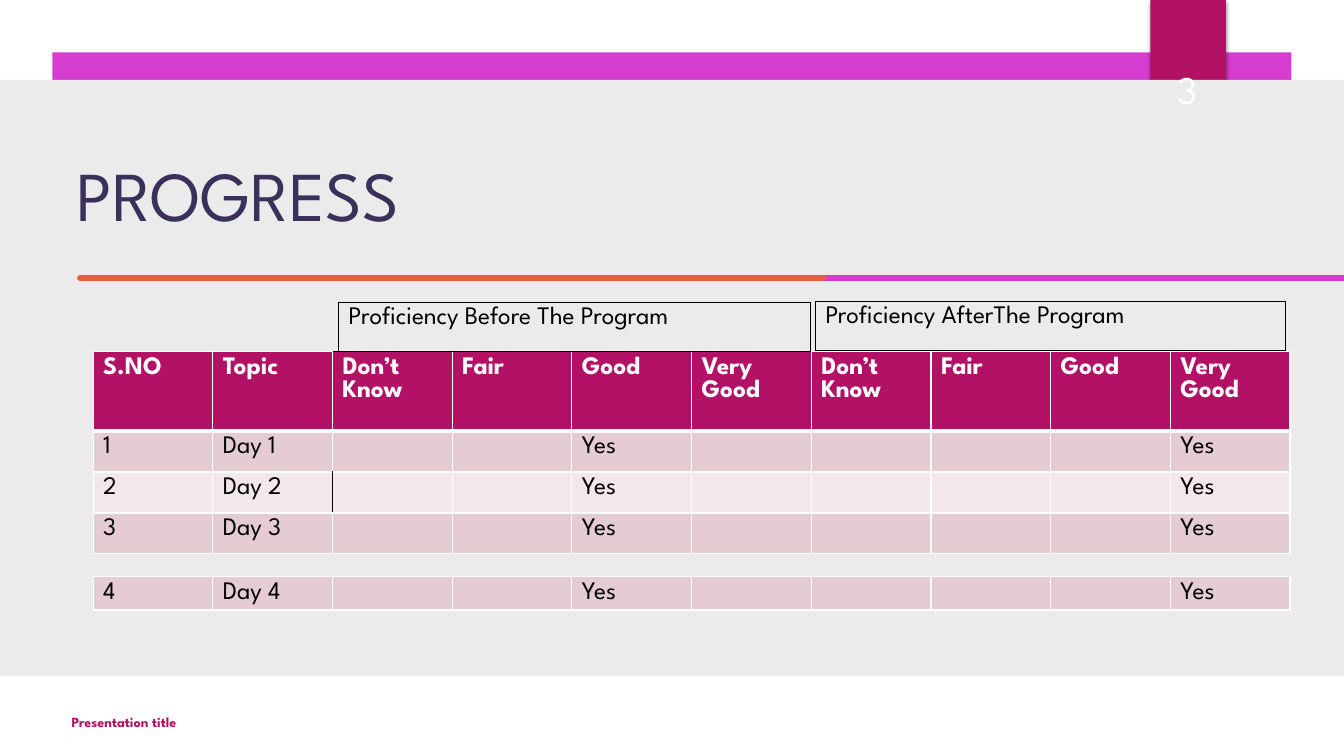
from pptx import Presentation
from pptx.dml.color import RGBColor
from pptx.enum.shapes import MSO_CONNECTOR, MSO_SHAPE
from pptx.enum.text import MSO_ANCHOR, PP_ALIGN
from pptx.oxml.ns import qn
from pptx.util import Pt
from lxml.etree import SubElement

FONT = "League Spartan"
WHITE, BLACK, PANEL = "FFFFFF", "000000", "EBEBEB"
MAGENTA, CRIMSON, ORANGE, INDIGO = "D53DD0", "B31166", "E45F3C", "3B3059"
ROSE, PALE_ROSE = "E5CCD3", "F2E7EA"
W, H = 960, 540

TITLE = "PROGRESS"
FOOTER = "Presentation title"
PAGE = "3"
LEVELS = ["Don’t Know", "Fair", "Good", "Very Good"]
HEADER = ["S.NO", "Topic"] + LEVELS * 2
DAYS = [[str(n), f"Day {n}", "", "", "Yes", "", "", "", "", "Yes"]
        for n in range(1, 5)]
# text, left, top, width
GROUPS = [
    ("Proficiency Before The Program", 241.9, 215.8, 337),
    ("Proficiency AfterThe Program", 582.5, 215.2, 336),
]
GRID_LEFT, GRID_TOP, COL_W = 66.5, 251, 85.5
HEADER_H, ROW_H = 57, 29.2
LAST_TOP, LAST_H = 411.8, 24


def rgb(value):
    return RGBColor.from_string(value)


def style(p, size, color, bold=False):
    for r in p.runs:
        r.font.name, r.font.size, r.font.bold = FONT, Pt(size), bold
        r.font.color.rgb = rgb(color)


def add_block(s, kind, x, y, w, h, color):
    sp = s.shapes.add_shape(kind, Pt(x), Pt(y), Pt(w), Pt(h))
    sp.shadow.inherit = False
    sp.fill.solid()
    sp.fill.fore_color.rgb = rgb(color)
    sp.line.fill.background()
    return sp


def add_drop_shadow(sp):
    effects = sp.element.spPr.find(qn("a:effectLst"))
    shadow = SubElement(effects, qn("a:outerShdw"), blurRad=str(Pt(3)),
                        dist=str(Pt(2)), dir="5400000", rotWithShape="0")
    color = SubElement(shadow, qn("a:srgbClr"), val=BLACK)
    SubElement(color, qn("a:alpha"), val="45000")


def add_rule(s, x1, x2, y, color):
    line = s.shapes.add_connector(MSO_CONNECTOR.STRAIGHT, Pt(x1), Pt(y), Pt(x2), Pt(y))
    line.line.width = Pt(4.5)
    line.line.color.rgb = rgb(color)
    spPr = line.element.spPr
    spPr.find(qn("a:ln")).set("cap", "rnd")
    SubElement(spPr, qn("a:effectLst"))


def add_label(s, text, x, y, w, h, size, color, anchor, align, bold=False):
    tf = s.shapes.add_textbox(Pt(x), Pt(y), Pt(w), Pt(h)).text_frame
    tf.word_wrap = True
    tf.vertical_anchor = anchor
    tf.text = text
    tf.paragraphs[0].alignment = align
    style(tf.paragraphs[0], size, color, bold)


def set_borders(cell, borders):
    """Draw the borders, given as side: (colour, points)."""
    tcPr = cell._tc.get_or_add_tcPr()
    for side in "LRTB":
        color, width = borders[side]
        ln = SubElement(tcPr, qn(f"a:ln{side}"), w=str(Pt(width)))
        fill = SubElement(ln, qn("a:solidFill"))
        SubElement(fill, qn("a:srgbClr"), val=color)


def add_grid(s, rows, x, y, col_w, heights, fills, border, special=None):
    """Add a table; special maps (row, column) to borders that differ."""
    cols = len(rows[0])
    table = s.shapes.add_table(len(rows), cols, Pt(x), Pt(y),
                               Pt(col_w * cols), Pt(sum(heights))).table
    table.first_row = table.horz_banding = False
    for col in table.columns:
        col.width = Pt(col_w)
    for i, texts in enumerate(rows):
        table.rows[i].height = Pt(heights[i])
        is_header = fills[i] == CRIMSON
        for j, text in enumerate(texts):
            cell = table.cell(i, j)
            borders = dict.fromkeys("LRTB", (border, 1))
            if is_header:
                borders["B"] = (border, 3)
            borders.update((special or {}).get((i, j), {}))
            set_borders(cell, borders)
            if fills[i]:
                cell.fill.solid()
                cell.fill.fore_color.rgb = rgb(fills[i])
            else:
                cell.fill.background()
            if text:
                p = cell.text_frame.paragraphs[0]
                p.text = text
                style(p, 18, WHITE if is_header else BLACK, is_header)
            else:
                cell.margin_top = cell.margin_bottom = 0


def main():
    prs = Presentation()
    prs.slide_width, prs.slide_height = Pt(W), Pt(H)
    s = prs.slides.add_slide(prs.slide_layouts[5])
    s.background.fill.solid()
    s.background.fill.fore_color.rgb = rgb(MAGENTA)

    frame = add_block(s, MSO_SHAPE.FRAME, 0, 0, W, H, WHITE)
    frame.adjustments[0] = 37.5 / H
    add_block(s, MSO_SHAPE.RECTANGLE, 36, 480, 888, 24, WHITE)
    tab = add_block(s, MSO_SHAPE.RECTANGLE, 821.7, 0, 54, 90, CRIMSON)
    add_drop_shadow(tab)
    add_block(s, MSO_SHAPE.RECTANGLE, 0, 57, W, 426, PANEL)
    add_rule(s, W, 587, 198.6, MAGENTA)
    add_rule(s, 588, 57.3, 198.6, ORANGE)

    add_label(s, FOOTER, 44.2, 503.8, 304, 23.8, 10, CRIMSON,
              MSO_ANCHOR.MIDDLE, PP_ALIGN.LEFT, True)
    add_label(s, PAGE, 815, 23, 66.2, 60.5, 28, WHITE,
              MSO_ANCHOR.BOTTOM, PP_ALIGN.CENTER)

    title = s.shapes.title
    s.shapes._spTree.append(title.element)  # in front of the panel
    title.left, title.top, title.width, title.height = Pt(47.5), Pt(115.2), Pt(828), Pt(45.4)
    tf = title.text_frame
    tf.text = TITLE
    tf.vertical_anchor = MSO_ANCHOR.MIDDLE
    tf.paragraphs[0].alignment = PP_ALIGN.LEFT
    style(tf.paragraphs[0], 50, INDIGO)

    black = (BLACK, 1)
    add_grid(s, [HEADER] + DAYS[:3], GRID_LEFT, GRID_TOP, COL_W,
             [HEADER_H] + [ROW_H] * 3, [CRIMSON, ROSE, PALE_ROSE, ROSE], WHITE,
             {(0, 2): {"T": black}, (2, 1): {"R": black}, (2, 2): {"L": black}})
    for text, x, y, w in GROUPS:
        add_grid(s, [[text]], x, y, w, [35.3], [None], BLACK)
    add_grid(s, DAYS[3:], GRID_LEFT, LAST_TOP, COL_W, [LAST_H], [ROSE], WHITE)

    prs.save("out.pptx")


if __name__ == "__main__":
    main()
